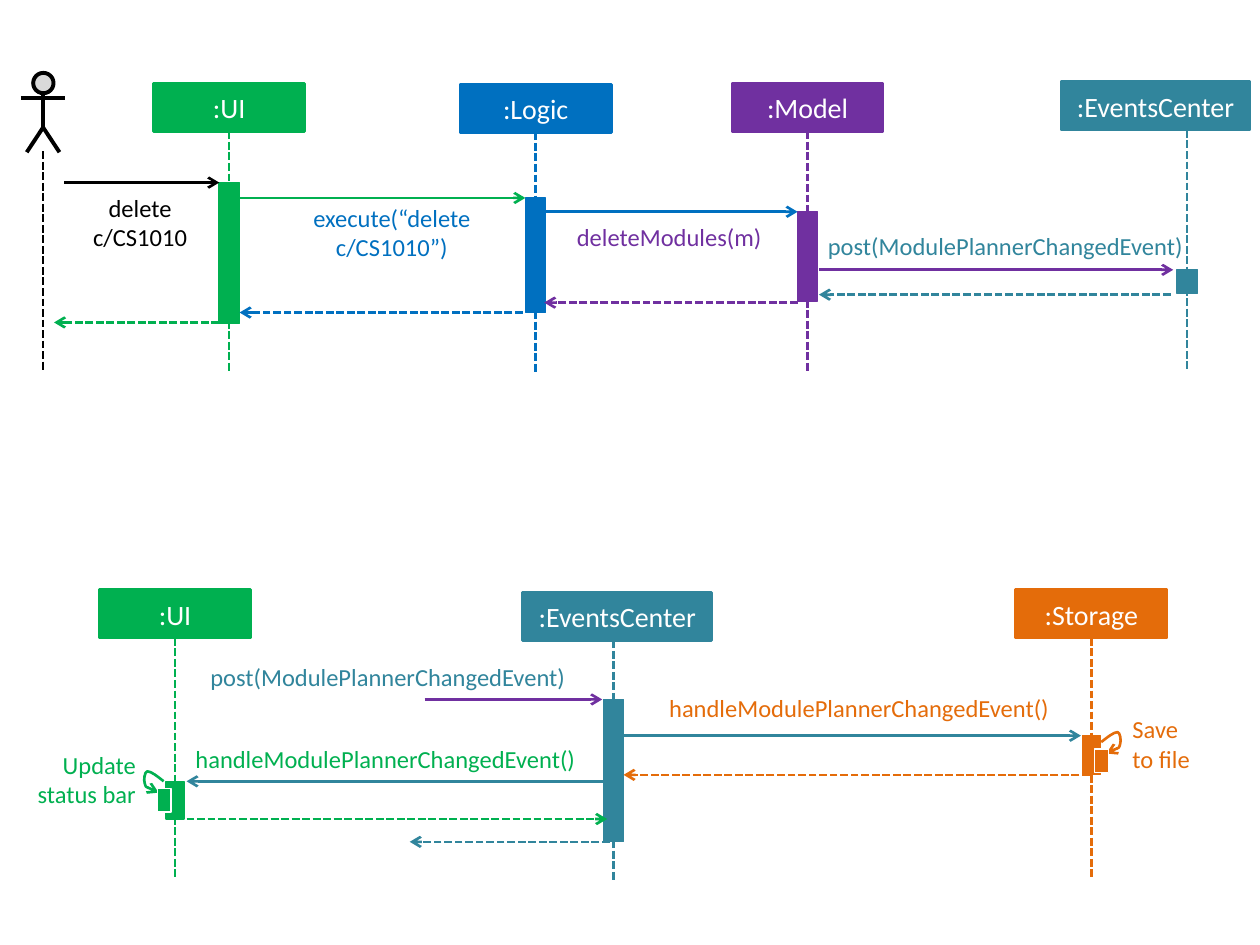
from dataclasses import dataclass

from lxml import etree
from pptx import Presentation
from pptx.dml.color import RGBColor
from pptx.enum.dml import MSO_LINE
from pptx.enum.shapes import MSO_CONNECTOR, MSO_SHAPE
from pptx.enum.text import MSO_ANCHOR, MSO_AUTO_SIZE, PP_ALIGN
from pptx.oxml.ns import qn
from pptx.util import Cm, Pt

GREEN = RGBColor(0x00, 0xB0, 0x50)
BLUE = RGBColor(0x00, 0x70, 0xC0)
PURPLE = RGBColor(0x70, 0x30, 0xA0)
TEAL = RGBColor(0x31, 0x85, 0x9C)
ORANGE = RGBColor(0xE4, 0x6C, 0x0A)
BLACK = RGBColor(0x00, 0x00, 0x00)
WHITE = RGBColor(0xFF, 0xFF, 0xFF)
GRAY = RGBColor(0xD9, 0xD9, 0xD9)

RECT, OVAL = MSO_SHAPE.RECTANGLE, MSO_SHAPE.FLOWCHART_CONNECTOR
STRAIGHT = MSO_CONNECTOR.STRAIGHT
DASH = MSO_LINE.SQUARE_DOT
LEFT, MID, RIGHT = PP_ALIGN.LEFT, PP_ALIGN.CENTER, PP_ALIGN.RIGHT
MIDDLE, GROW = MSO_ANCHOR.MIDDLE, MSO_AUTO_SIZE.SHAPE_TO_FIT_TEXT

FONT = "Calibri"
HEAD_W, HEAD_H = 3.05, 0.97
LIFE = 5.8      # from the top of a header to the end of its lifeline
ROW = 0.6       # height of one line of a label

# Self-call curve: offsets from its start, three for each Bezier segment
CURVE = [(0.13, -0.1), (0.25, -0.2), (0.33, -0.2),
         (0.38, -0.2), (0.41, -0.03), (0.38, 0.05),
         (0.36, 0.13), (0.23, 0.18), (0.1, 0.23)]


@dataclass
class Area:
    """A place to draw in; all lengths are cm from its top left corner."""
    shapes: object
    left: float
    top: float

    def at(self, x, y):
        return Cm(self.left + x), Cm(self.top + y)

    def group(self):
        return Area(self.shapes.add_group_shape().shapes, self.left, self.top)

    def shape(self, kind, x, y, w, h, fill, edge, width=0.75):
        item = self.shapes.add_shape(kind, *self.at(x, y), Cm(w), Cm(h))
        item.shadow.inherit = False
        item.fill.solid()
        item.fill.fore_color.rgb = fill
        pen(item, edge, width)
        return item

    def line(self, x1, y1, x2, y2, color, width=1.5, dash=False, arrow=False):
        item = self.shapes.add_connector(
            STRAIGHT, *self.at(x1, y1), *self.at(x2, y2))
        pen(item, color, width, dash, arrow)
        etree.SubElement(item._element.spPr, qn("a:effectLst"))
        return item

    def free(self, points, color, width, arrow=False):
        start, *rest = [self.at(x, y) for x, y in points]
        form = self.shapes.build_freeform(*start, scale=1.0)
        form.add_line_segments(rest, close=False)
        item = form.convert_to_shape()
        item.shadow.inherit = False
        item.fill.background()
        pen(item, color, width, arrow=arrow)
        return item

    def label(self, x, y, w, lines, color, align=LEFT, rows=1):
        box = self.shapes.add_textbox(*self.at(x, y), Cm(w), Cm(rows * ROW))
        frame = box.text_frame
        frame.word_wrap = True
        frame.auto_size = GROW
        frame.margin_left = frame.margin_right = 0
        frame.margin_top = frame.margin_bottom = 0
        write(frame.paragraphs[0], lines, 14, color, align)


def pen(item, color, width, dash=False, arrow=False):
    item.line.color.rgb = color
    item.line.width = Pt(width)
    if dash:
        item.line.dash_style = DASH
    if arrow:
        ln = item._element.spPr.find(qn("a:ln"))
        etree.SubElement(ln, qn("a:tailEnd"), type="arrow")


def write(para, lines, size, color, align):
    para.alignment = align
    for i, text in enumerate(lines.split("\n")):
        if i:
            para.add_line_break()
        run = para.add_run()
        run.text = text
        run.font.name = FONT
        run.font.size = Pt(size)
        run.font.color.rgb = color


def column(area, name, color, x, top, bar, high, thick=0.41,
           width=HEAD_W, left=None):
    """Header, lifeline and activation bar; left is for an off-centre header."""
    start = x - width / 2 if left is None else left
    head = area.shape(RECT, start, top, width, HEAD_H, color, color, 1.5)
    frame = head.text_frame
    frame.word_wrap = False
    frame.vertical_anchor = MIDDLE
    write(frame.paragraphs[0], name, 16, WHITE, MID)
    life = area.line(x, top + HEAD_H, x, top + LIFE, color, dash=True)
    if left is None:
        life.begin_connect(head, 2)
    area.shape(RECT, x - thick / 2, bar, thick, high, color, color)


def actor(area, x):
    """Stick figure with its lifeline."""
    man = area.group()
    man.shape(OVAL, x - 0.2, 0.07, 0.41, 0.41, GRAY, BLACK, 2.25)
    man.line(x, 0.48, x, 1.19, BLACK, 2.25)
    man.free([(x - 0.33, 1.67), (x, 1.17), (x + 0.33, 1.67)], BLACK, 2.25)
    man.line(x - 0.45, 0.58, x + 0.45, 0.58, BLACK, 2.25)
    area.line(x, 1.65, x, 6.09, BLACK, dash=True)


def loop(area, x, y, side, color):
    """Self call: curved arrow and nested bar; side is -1 left, 1 right."""
    part = area.group()
    points = [(x, y)] + [(x + side * dx, y + dy) for dx, dy in CURVE]
    item = part.free(points, color, 1.5, arrow=True)
    track = item._element.find(".//" + qn("a:path"))
    steps = track.findall(qn("a:lnTo"))
    for i in range(0, len(steps), 3):
        bend = etree.SubElement(track, qn("a:cubicBezTo"))
        for step in steps[i:i + 3]:
            bend.append(step[0])
            track.remove(step)
    part.shape(RECT, x - 0.13, y + 0.14, 0.28, 0.48, color, WHITE)


def calls(area, rows):
    for x1, x2, y, color, dash in rows:
        area.line(x1, y, x2, y, color, dash=dash, arrow=True)


def delete_flow(shapes, left, top):
    area = Area(shapes, left, top)
    actor(area, 0.47)
    column(area, ":UI", GREEN, 4.22, 0.28, 2.28, 2.84)
    column(area, ":Logic", BLUE, 10.4, 0.3, 2.59, 2.31)
    column(area, ":Model", PURPLE, 15.88, 0.28, 2.87, 1.8)
    column(area, ":EventsCenter", TEAL, 23.53, 0.25, 4.04, 0.48,
           width=3.81, left=20.99)
    # Calls, then returns
    calls(area, [
        (0.9, 4.02, 2.28, BLACK, False),
        (4.43, 10.19, 2.59, GREEN, False),
        (10.57, 15.68, 2.87, BLUE, False),
        (16.11, 23.25, 4.04, PURPLE, False),
        (23.2, 16.11, 4.54, TEAL, True),
        (15.68, 10.57, 4.7, PURPLE, True),
        (10.14, 4.43, 4.9, BLUE, True),
        (4.02, 0.69, 5.1, GREEN, True)])
    area.label(1.23, 2.49, 2.39, "delete c/CS1010", BLACK, MID, 2)
    area.label(5.52, 2.69, 3.96, "execute(“delete c/CS1010”)", BLUE, MID, 2)
    area.label(11.23, 3.07, 3.96, "deleteModules(m)", PURPLE)
    area.label(16.29, 3.25, 7.32, "post(ModulePlannerChangedEvent)", TEAL)


def event_flow(shapes, left, top):
    area = Area(shapes, left, top)
    column(area, ":UI", GREEN, 3.03, 0.09, 3.95, 0.76, 0.36)
    column(area, ":EventsCenter", TEAL, 11.87, 0.14, 2.3, 2.87,
           width=3.81, left=10.04)
    column(area, ":Storage", ORANGE, 21.5, 0.09, 3.03, 0.79, 0.36)
    # Calls and returns from top to bottom
    calls(area, [
        (8.06, 11.64, 2.3, PURPLE, False),
        (12.07, 21.29, 3.03, TEAL, False),
        (21.47, 12.07, 3.82, ORANGE, True),
        (11.74, 3.26, 3.95, TEAL, False),
        (3.26, 11.74, 4.71, GREEN, True),
        (11.79, 7.76, 5.17, TEAL, True)])
    loop(area, 2.8, 3.95, -1, GREEN)
    loop(area, 21.7, 3.16, 1, ORANGE)
    handle = "handleModulePlannerChangedEvent()"
    area.label(3.74, 1.54, 7.54, "post(ModulePlannerChangedEvent)", TEAL)
    area.label(12.99, 2.17, 8.1, handle, ORANGE)
    area.label(3.44, 3.19, 7.75, handle, GREEN)
    area.label(0.03, 3.31, 2.21, "Update status bar", GREEN, RIGHT, 2)
    area.label(22.33, 2.6, 1.5, "Save\nto file", ORANGE, rows=2)


def main():
    deck = Presentation()
    deck.slide_width, deck.slide_height = Cm(25.4), Cm(19.05)
    slide = deck.slides.add_slide(deck.slide_layouts[6])
    delete_flow(slide.shapes, 0.4, 1.4)
    event_flow(slide.shapes, 0.5, 11.8)
    deck.save("out.pptx")


if __name__ == "__main__":
    main()
